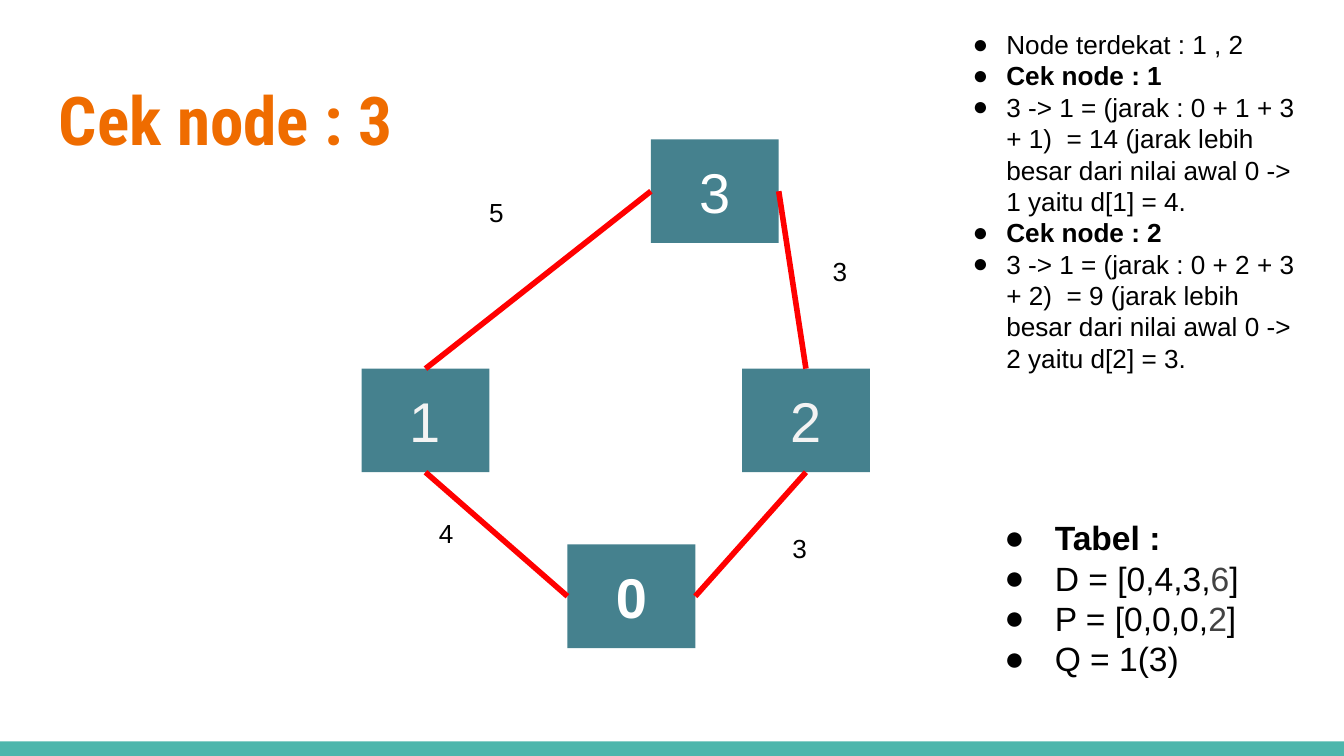
from lxml.etree import SubElement
from pptx import Presentation
from pptx.dml.color import RGBColor
from pptx.enum.shapes import MSO_CONNECTOR, MSO_SHAPE
from pptx.enum.text import MSO_ANCHOR, PP_ALIGN
from pptx.oxml.ns import qn
from pptx.util import Pt

TOP, LEFT, BOTTOM, RIGHT = range(4)
BLACK, GREY, WHITE, PALE = "000000", "434343", "FFFFFF", "F3F3F3"


def rgb(color):
    return RGBColor.from_string(color)


def bold(text):
    return [(text, {"bold": True})]


def set_bullet(p, indent):
    pPr = p._p.get_or_add_pPr()
    pPr.set("marL", str(Pt(36)))
    pPr.set("indent", str(-Pt(indent)))
    SubElement(pPr, qn("a:buFont"), typeface="Arial")
    SubElement(pPr, qn("a:buChar"), char="●")


def write(shape, paragraphs, size=14, font="Arial", color=BLACK, bold=False,
          align=PP_ALIGN.LEFT, anchor=MSO_ANCHOR.TOP, indent=None):
    """Fill a shape; a paragraph is a string or a list of (text, format) runs."""
    tf = shape.text_frame
    tf.word_wrap = True
    tf.vertical_anchor = anchor
    tf.margin_left = tf.margin_right = tf.margin_top = tf.margin_bottom = Pt(7.2)
    for i, runs in enumerate(paragraphs):
        p = tf.add_paragraph() if i else tf.paragraphs[0]
        p.alignment = align
        if indent:
            set_bullet(p, indent)
        for text, own in [(runs, {})] if isinstance(runs, str) else runs:
            r = p.add_run()
            r.text = text
            r.font.name = font
            r.font.size = Pt(size)
            r.font.bold = own.get("bold", bold)
            r.font.color.rgb = rgb(own.get("color", color))


class GraphSlide:
    node_fill, edge_color, bar_fill = "45818E", "FF0000", "4DB6AC"
    node_size = 68.5, 55.5
    edge_width = 3

    def __init__(self, prs):
        self.s = prs.slides.add_slide(prs.slide_layouts[6])

    def rect(self, x, y, w, h, fill):
        sp = self.s.shapes.add_shape(MSO_SHAPE.RECTANGLE, Pt(x), Pt(y), Pt(w), Pt(h))
        sp.shadow.inherit = False
        sp.fill.solid()
        sp.fill.fore_color.rgb = rgb(fill)
        sp.line.fill.background()
        return sp

    def node(self, label, x, y, **style):
        sp = self.rect(x, y, *self.node_size, self.node_fill)
        write(sp, [label], size=30, align=PP_ALIGN.CENTER,
              anchor=MSO_ANCHOR.MIDDLE, **style)
        return sp

    def edge(self, start, start_side, end, end_side):
        line = self.s.shapes.add_connector(MSO_CONNECTOR.STRAIGHT, 0, 0, 0, 0)
        line.begin_connect(start, start_side)
        line.end_connect(end, end_side)
        line.line.color.rgb = rgb(self.edge_color)
        line.line.width = Pt(self.edge_width)
        SubElement(line._element.spPr, qn("a:effectLst"))

    def text(self, x, y, w, h, paragraphs, **style):
        box = self.s.shapes.add_textbox(Pt(x), Pt(y), Pt(w), Pt(h))
        write(box, paragraphs, **style)


def main():
    prs = Presentation()
    prs.slide_width, prs.slide_height = Pt(720), Pt(405)
    slide = GraphSlide(prs)

    slide.rect(0, 397.2, 720, 7.8, slide.bar_fill)
    slide.text(24.5, 35, 671, 55.5, ["Cek node : 3"], size=36,
               font="Roboto Condensed", color="EF6C00", bold=True)

    node3 = slide.node("3", 348.7, 74.7, color=WHITE)
    node1 = slide.node("1", 193.7, 197.5, color=PALE)
    node2 = slide.node("2", 397.5, 197.5, color=PALE)
    node0 = slide.node("0", 304, 291.7, color=WHITE, bold=True)

    slide.edge(node1, TOP, node3, LEFT)
    slide.edge(node2, TOP, node3, RIGHT)
    slide.edge(node0, LEFT, node1, BOTTOM)
    slide.edge(node0, RIGHT, node2, BOTTOM)

    for distance, x, y, w, h in [("4", 228, 270, 21.6, 32.4),
                                 ("3", 417.5, 278, 21.6, 32.4),
                                 ("5", 255, 98, 36, 40),
                                 ("3", 439, 129.5, 36, 40)]:
        slide.text(x, y, w, h, [distance])

    slide.text(496, 8, 211.5, 220, [
        "Node terdekat : 1 , 2",
        bold("Cek node : 1"),
        "3 -> 1 = (jarak : 0 + 1 + 3 + 1)  = 14 (jarak lebih besar dari "
        "nilai awal 0 -> 1 yaitu d[1] = 4.",
        bold("Cek node : 2"),
        "3 -> 1 = (jarak : 0 + 2 + 3 + 2)  = 9 (jarak lebih besar dari "
        "nilai awal 0 -> 2 yaitu d[2] = 3.",
    ], indent=18)

    slide.text(522, 270, 160, 116.5, [
        bold("Tabel :"),
        [("D = [0,4,3,", {}), ("6", {"color": GREY}), ("]", {})],
        [("P = [0,0,0,", {}), ("2", {"color": GREY}), ("]", {})],
        "Q = 1(3)",
    ], size=18, indent=27)

    prs.save("out.pptx")


if __name__ == "__main__":
    main()
